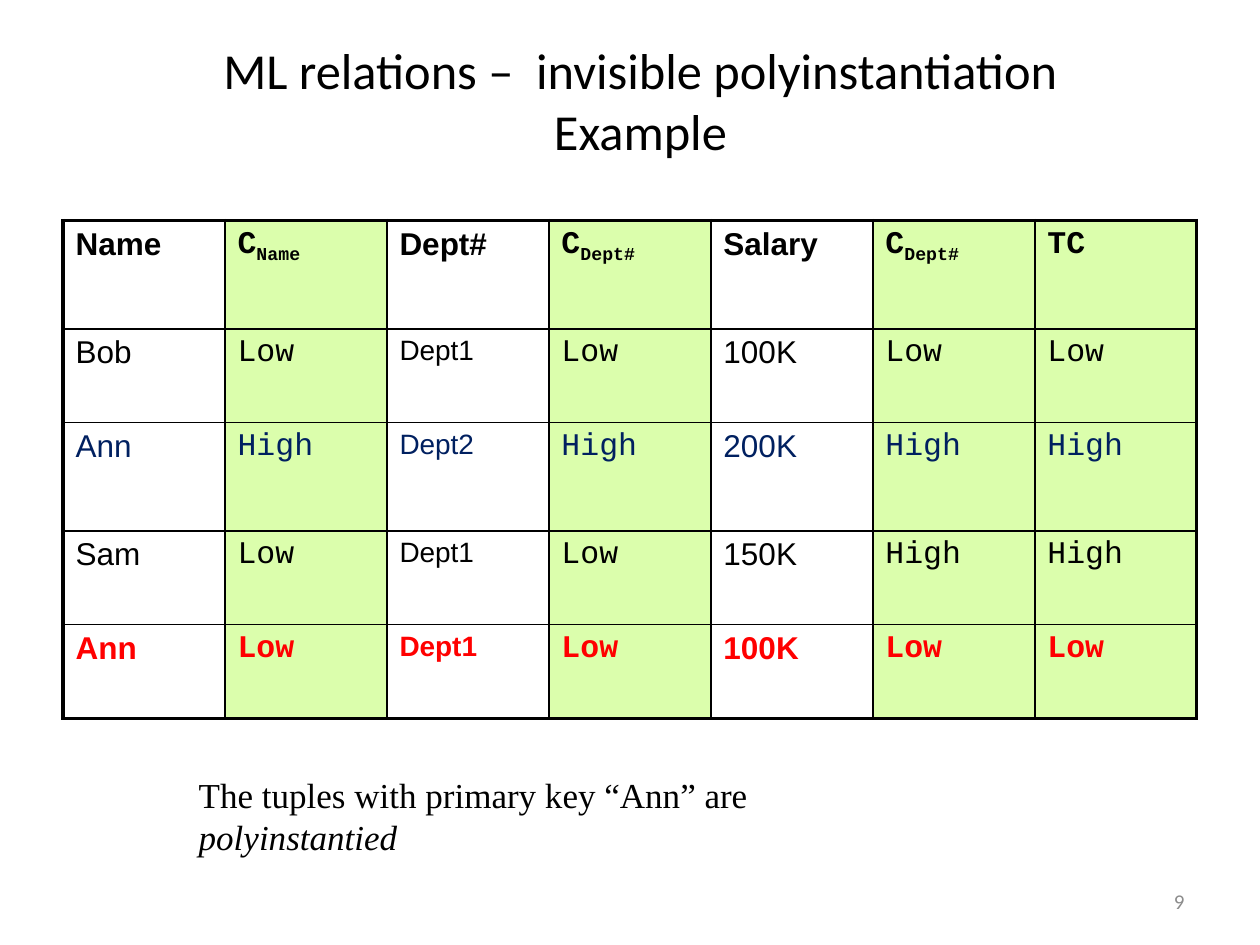
from dataclasses import dataclass

from lxml import etree
from pptx import Presentation
from pptx import util as u
from pptx.dml.color import RGBColor
from pptx.enum import text
from pptx.oxml import ns

BLACK, NAVY, RED, GREY, GREEN = "000000", "002060", "FF0000", "8C8C8C", "DBFEAC"
THIN, THICK = 1, 2.25


@dataclass
class Piece:
    wording: str
    italic: bool = False
    subscript: bool = False


@dataclass
class Label:
    pieces: list[Piece]
    box: tuple[float, float, float, float]
    font: dict
    color: str = BLACK
    align: text.PP_ALIGN = text.PP_ALIGN.LEFT
    anchor: text.MSO_ANCHOR = text.MSO_ANCHOR.TOP


@dataclass
class Row:
    values: list[str]
    height: float
    color: str = BLACK
    bold: bool = False


LABELS = [
    Label([Piece("ML relations –  invisible polyinstantiation\nExample")],
          (48, 24, 636, 66), {"name": "Calibri", "size": u.Pt(28.8)},
          align=text.PP_ALIGN.CENTER, anchor=text.MSO_ANCHOR.MIDDLE),
    Label([Piece("The tuples with primary key “Ann” are "),
           Piece("polyinstantied", italic=True)],
          (106.5, 438.5, 445.5, 31), {"name": "Times New Roman", "size": u.Pt(20)}),
    Label([Piece("9")], (516, 500.5, 168, 28.5),
          {"name": "Calibri", "size": u.Pt(12)}, GREY,
          text.PP_ALIGN.RIGHT, text.MSO_ANCHOR.MIDDLE),
]

# An underscore separates a heading from its subscript
ROWS = [
    Row(["Name", "C_Name", "Dept#", "C_Dept#", "Salary", "C_Dept#", "TC"], 62, bold=True),
    Row(["Bob", "Low", "Dept1", "Low", "100K", "Low", "Low"], 53.5),
    Row(["Ann", "High", "Dept2", "High", "200K", "High", "High"], 62, NAVY),
    Row(["Sam", "Low", "Dept1", "Low", "150K", "High", "High"], 53.5),
    Row(["Ann", "Low", "Dept1", "Low", "100K", "Low", "Low"], 53.5, RED, True),
]
CLASS_COLUMNS = {1, 3, 5, 6}
DEPARTMENT_COLUMN = 2
TABLE_LEFT, TABLE_TOP, TABLE_WIDTH = 36, 126, 648


def rgb(color: str) -> RGBColor:
    return RGBColor.from_string(color)


def write(paragraph, pieces: list[Piece], font: dict, color: str) -> None:
    for piece in pieces:
        for number, line in enumerate(piece.wording.split("\n")):
            if number:
                paragraph.add_line_break()
            run = paragraph.add_run()
            run.text = line
            for name, value in {**font, "italic": piece.italic}.items():
                setattr(run.font, name, value)
            run.font.color.rgb = rgb(color)
            if piece.subscript:
                run.font._element.set("baseline", "-25000")


def add_label(slide, label: Label) -> None:
    shape = slide.shapes.add_textbox(*map(u.Pt, label.box))
    frame = shape.text_frame
    for name, value in {"word_wrap": True, "vertical_anchor": label.anchor}.items():
        setattr(frame, name, value)
    paragraph = frame.paragraphs[0]
    paragraph.alignment = label.align
    write(paragraph, label.pieces, label.font, label.color)


def set_borders(cell, widths: dict[str, float]) -> None:
    """Line elements must come before the fill, in the order L, R, T, B."""
    properties = cell._tc.get_or_add_tcPr()
    for index, (side, width) in enumerate(widths.items()):
        line = etree.Element(ns.qn(f"a:ln{side}"), w=str(u.Pt(width)))
        fill = etree.SubElement(line, ns.qn("a:solidFill"))
        etree.SubElement(fill, ns.qn("a:srgbClr"), val=BLACK)
        properties.insert(index, line)


def fill_cell(cell, row: Row, row_index: int, column: int) -> None:
    is_class = column in CLASS_COLUMNS
    if is_class:
        cell.fill.solid()
        cell.fill.fore_color.rgb = rgb(GREEN)
    else:
        cell.fill.background()

    small = column == DEPARTMENT_COLUMN and row_index > 0
    font = {"name": "Courier New" if is_class else "Arial",
            "size": u.Pt(16 if small else 18), "bold": row.bold}
    pieces = [Piece(part, subscript=number > 0)
              for number, part in enumerate(row.values[column].split("_"))]
    write(cell.text_frame.paragraphs[0], pieces, font, row.color)

    outer = {"L": column == 0, "R": column == len(row.values) - 1,
             "T": row_index == 0, "B": row_index == len(ROWS) - 1}
    set_borders(cell, {side: THICK if edge else THIN for side, edge in outer.items()})


def add_relation(slide, rows: list[Row]) -> None:
    columns = len(rows[0].values)
    height = sum(row.height for row in rows)
    area = (TABLE_LEFT, TABLE_TOP, TABLE_WIDTH, height)
    table = slide.shapes.add_table(len(rows), columns, *map(u.Pt, area)).table
    for name in ("first_row", "horz_banding"):
        setattr(table, name, False)
    for column in table.columns:
        column.width = u.Pt(TABLE_WIDTH / columns)
    for row_index, row in enumerate(rows):
        table.rows[row_index].height = u.Pt(row.height)
        for column in range(columns):
            fill_cell(table.cell(row_index, column), row, row_index, column)


def main() -> None:
    presentation = Presentation()
    presentation.slide_width, presentation.slide_height = u.Pt(720), u.Pt(540)
    slide = presentation.slides.add_slide(presentation.slide_layouts[6])

    # Title, relation, then caption and page number
    title, *notes = LABELS
    add_label(slide, title)
    add_relation(slide, ROWS)
    for label in notes:
        add_label(slide, label)

    presentation.save("out.pptx")


if __name__ == "__main__":
    main()
